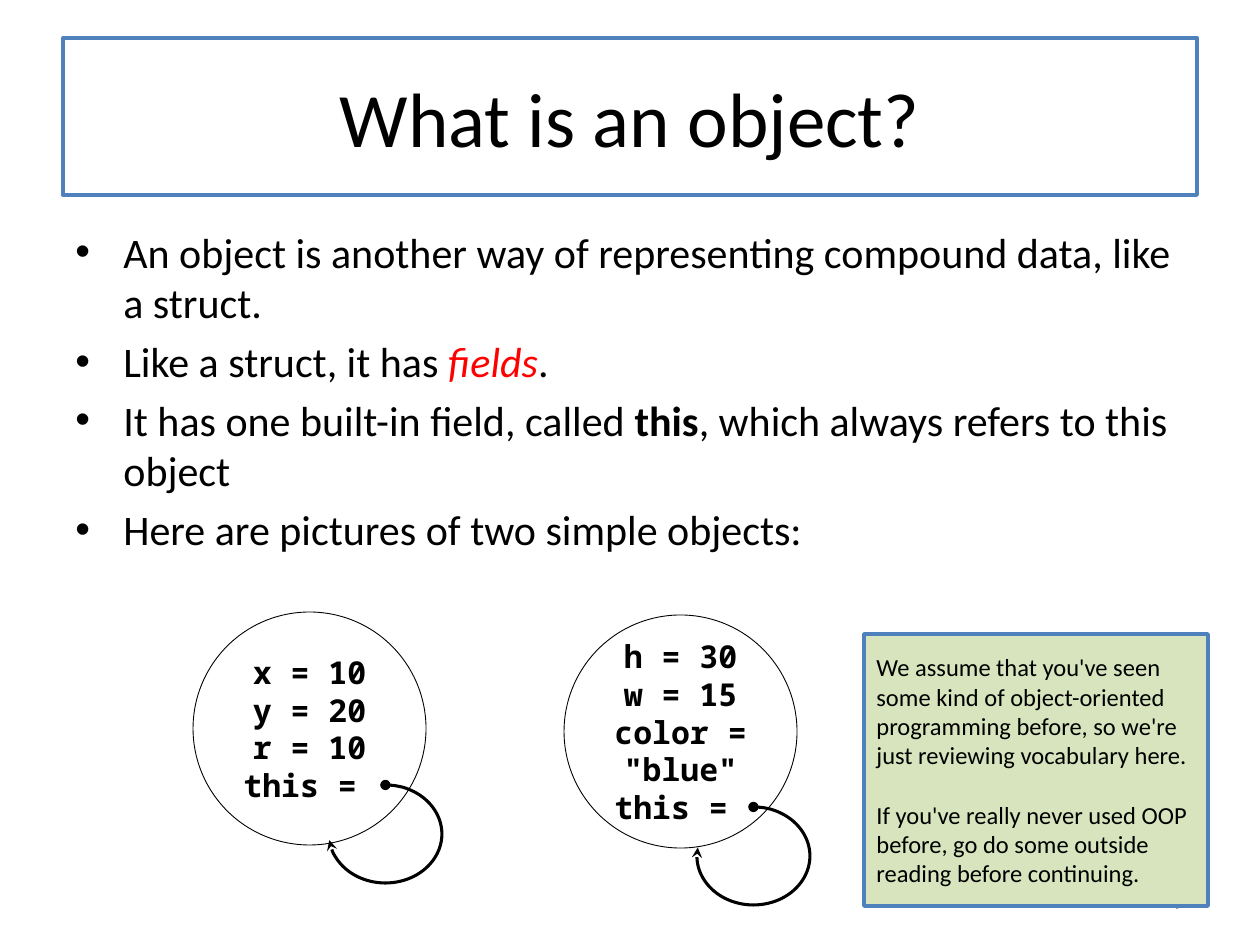
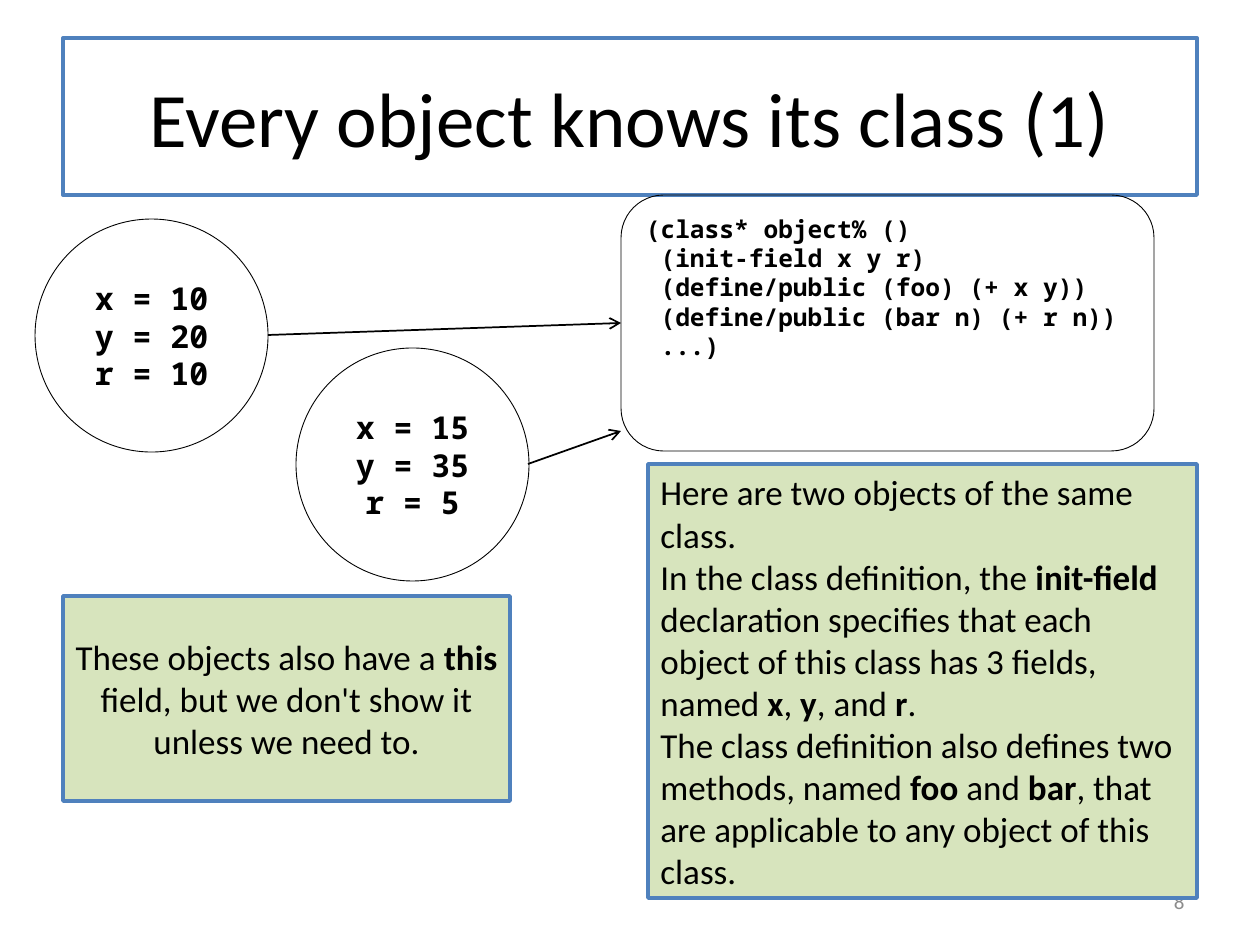
from dataclasses import dataclass

from lxml import etree
from pptx import Presentation
from pptx.dml.color import RGBColor
from pptx.enum.shapes import MSO_CONNECTOR, MSO_SHAPE
from pptx.enum.text import MSO_ANCHOR, PP_ALIGN
from pptx.oxml.ns import qn
from pptx.util import Emu, Pt

LEFT, CENTER, RIGHT = PP_ALIGN.LEFT, PP_ALIGN.CENTER, PP_ALIGN.RIGHT
TOP, MIDDLE = MSO_ANCHOR.TOP, MSO_ANCHOR.MIDDLE
OVAL, ARC = MSO_SHAPE.OVAL, MSO_SHAPE.ARC
RECTANGLE, ROUNDED = MSO_SHAPE.RECTANGLE, MSO_SHAPE.ROUNDED_RECTANGLE
STRAIGHT = MSO_CONNECTOR.STRAIGHT

PX_PER_INCH = 126
SLIDE_WIDTH, SLIDE_HEIGHT = 1260, 945
TITLE_ONLY = 5


def px(length):
    return Emu(round(length * 914400 / PX_PER_INCH))


def rgb(code):
    return RGBColor.from_string(code)


@dataclass(frozen=True)
class Theme:
    # Colours
    ink: str = "000000"
    paper: str = "FFFFFF"
    frame: str = "4F81BD"
    note: str = "D7E4BD"
    accent: str = "FF0000"
    muted: str = "8C8C8C"
    # Fonts
    prose: str = "Calibri"
    code: str = "Noto Sans Mono"
    # Type sizes in points
    title_size: int = 44
    body_size: int = 24
    note_size: int = 20
    field_size: int = 18
    small_size: int = 14
    number_size: int = 12
    # Line widths in points
    title_line: float = 2.25
    note_line: float = 2
    loop_line: float = 1.75
    arrow_line: float = 1
    thin_line: float = 0.5


class Deck:
    circle_size = 233
    loop_size = (113, 98)
    bullet_indent = 48

    def __init__(self, theme):
        self.theme = theme
        self.presentation = Presentation()
        self.presentation.slide_width = px(SLIDE_WIDTH)
        self.presentation.slide_height = px(SLIDE_HEIGHT)
        self.slide = None

    # Shared helpers
    def outline(self, shape, color, width):
        shape.line.color.rgb = rgb(color)
        shape.line.width = Pt(width)

    def line_ends(self, shape, **ends):
        line = shape.line._get_or_add_ln()
        for end, kind in ends.items():
            etree.SubElement(line, qn(f"a:{end}"), type=kind)

    def add_bullet(self, paragraph):
        properties = paragraph._p.get_or_add_pPr()
        indent = px(self.bullet_indent)
        properties.set("marL", str(indent))
        properties.set("indent", str(-indent))
        etree.SubElement(properties, qn("a:buFont"), typeface="Arial")
        etree.SubElement(properties, qn("a:buChar"), char="•")

    def fill_text(self, shape, lines, size, font=None, color=None, bold=False,
                  align=LEFT, anchor=MIDDLE, gap=0, bullets=False, emphasis=None):
        """Fill a shape with paragraphs; text between bars is bold or coloured."""
        frame = shape.text_frame
        frame.word_wrap = True
        frame.vertical_anchor = anchor
        for index, line in enumerate(lines):
            paragraph = frame.add_paragraph() if index else frame.paragraphs[0]
            if bullets:
                self.add_bullet(paragraph)
            paragraph.alignment = align
            if index and gap:
                paragraph.space_before = Pt(gap)
            paragraph.font.name = font or self.theme.prose
            paragraph.font.size = Pt(size)
            paragraph.font.color.rgb = rgb(color or self.theme.ink)
            if bold:
                paragraph.font.bold = True
            for position, text in enumerate(line.split("|")):
                run = paragraph.add_run()
                run.text = text
                if position % 2 and text == emphasis:
                    run.font.italic = True
                    run.font.color.rgb = rgb(self.theme.accent)
                elif position % 2:
                    run.font.bold = True

    def add_shape(self, kind, box, fill, color, width):
        shape = self.slide.shapes.add_shape(kind, *map(px, box))
        shape.shadow.inherit = False
        if fill:
            shape.fill.solid()
            shape.fill.fore_color.rgb = rgb(fill)
        else:
            shape.fill.background()
        self.outline(shape, color, width)
        return shape

    # Slide elements
    def add_slide(self, title):
        layout = self.presentation.slide_layouts[TITLE_ONLY]
        self.slide = self.presentation.slides.add_slide(layout)
        shape = self.slide.shapes.title
        shape.left, shape.top, shape.width, shape.height = map(
            px, (63, 38, 1134, 157))
        shape.fill.solid()
        shape.fill.fore_color.rgb = rgb(self.theme.paper)
        self.outline(shape, self.theme.frame, self.theme.title_line)
        self.fill_text(shape, [title], self.theme.title_size, align=CENTER)

    def text_box(self, box, lines, size, **style):
        shape = self.slide.shapes.add_textbox(*map(px, box))
        self.fill_text(shape, lines, size, **style)

    def slide_number(self, number):
        self.text_box((903, 876, 294, 50), [str(number)], self.theme.number_size,
                      color=self.theme.muted, align=RIGHT)

    def bullet_list(self, box, lines, emphasis):
        self.text_box(box, lines, self.theme.body_size, anchor=TOP, gap=4.8,
                      bullets=True, emphasis=emphasis)

    def object_circle(self, left, top, fields):
        box = (left, top, self.circle_size, self.circle_size)
        shape = self.add_shape(OVAL, box, None, self.theme.ink,
                               self.theme.thin_line)
        self.fill_text(shape, fields, self.theme.field_size,
                       font=self.theme.code, bold=True, align=CENTER)

    def this_loop(self, left, top, end_angle):
        shape = self.add_shape(ARC, (left, top, *self.loop_size), None,
                               self.theme.ink, self.theme.loop_line)
        # Arc angles are in 60000ths of a degree, adjustments in 100000ths
        for index, angle in enumerate((270, end_angle)):
            shape.adjustments[index] = angle * 0.6
        self.line_ends(shape, headEnd="oval", tailEnd="stealth")

    def class_box(self, box, code):
        shape = self.add_shape(ROUNDED, box, None, self.theme.ink,
                               self.theme.thin_line)
        self.fill_text(shape, code, self.theme.small_size, font=self.theme.code,
                       bold=True, anchor=TOP)

    def note(self, box, lines, size, **style):
        shape = self.add_shape(RECTANGLE, box, self.theme.note,
                               self.theme.frame, self.theme.note_line)
        self.fill_text(shape, lines, size, **style)

    def arrow(self, start, end):
        connector = self.slide.shapes.add_connector(
            STRAIGHT, *map(px, (*start, *end)))
        self.outline(connector, self.theme.ink, self.theme.arrow_line)
        self.line_ends(connector, tailEnd="arrow")
        etree.SubElement(connector._element.spPr, qn("a:effectLst"))


def object_slide(deck):
    deck.add_slide("What is an object?")
    deck.bullet_list((63, 220, 1134, 624), [
        "An object is another way of representing compound data, like a struct.",
        "Like a struct, it has |fields|.",
        "It has one built-in field, called |this|, which always refers to this object",
        "Here are pictures of two simple objects:",
    ], emphasis="fields")
    deck.slide_number(7)

    # Two objects, each with a loop back to itself
    deck.object_circle(193, 612, ["x = 10", "y = 20", "r = 10", "this = "])
    deck.object_circle(564, 615, ["h = 30", "w = 15", 'color = "blue"', "this = "])
    deck.this_loop(329, 785, 173.78)
    deck.this_loop(697, 807, 188.66)

    deck.note((864, 634, 344, 272), [
        "We assume that you've seen some kind of object-oriented programming "
        "before, so we're just reviewing vocabulary here.",
        "If you've really never used OOP before, go do some outside reading "
        "before continuing.",
    ], deck.theme.small_size, gap=17)


def class_slide(deck):
    deck.add_slide("Every object knows its class (1)")
    deck.slide_number(8)

    # Two objects pointing at their class
    deck.object_circle(35, 219, ["x = 10", "y = 20", "r = 10"])
    deck.object_circle(296, 348, ["x = 15", "y = 35", "r = 5"])
    deck.class_box((621, 195, 533, 256), [
        "(class* object% ()",
        " (init-field x y r)",
        " (define/public (foo) (+ x y))",
        " (define/public (bar n) (+ r n))",
        " ...)",
    ])
    deck.arrow((268, 335), (621, 323))
    deck.arrow((528, 464), (621, 431))

    # Explanations
    deck.note((648, 464, 549, 434), [
        "Here are two objects of the same class.",
        "In the class definition, the |init-field| declaration specifies that each "
        "object of this class has 3 fields, named |x|, |y|, and |r|.",
        "The class definition also defines two methods, named |foo| and |bar|, "
        "that are applicable to any object of this class.",
    ], deck.theme.note_size)
    deck.note((63, 596, 447, 205), [
        "These objects also have a |this| field, but we don't show it unless we "
        "need to.",
    ], deck.theme.note_size, align=CENTER)


def main():
    deck = Deck(Theme())
    object_slide(deck)
    class_slide(deck)
    deck.presentation.save("out.pptx")


if __name__ == "__main__":
    main()
